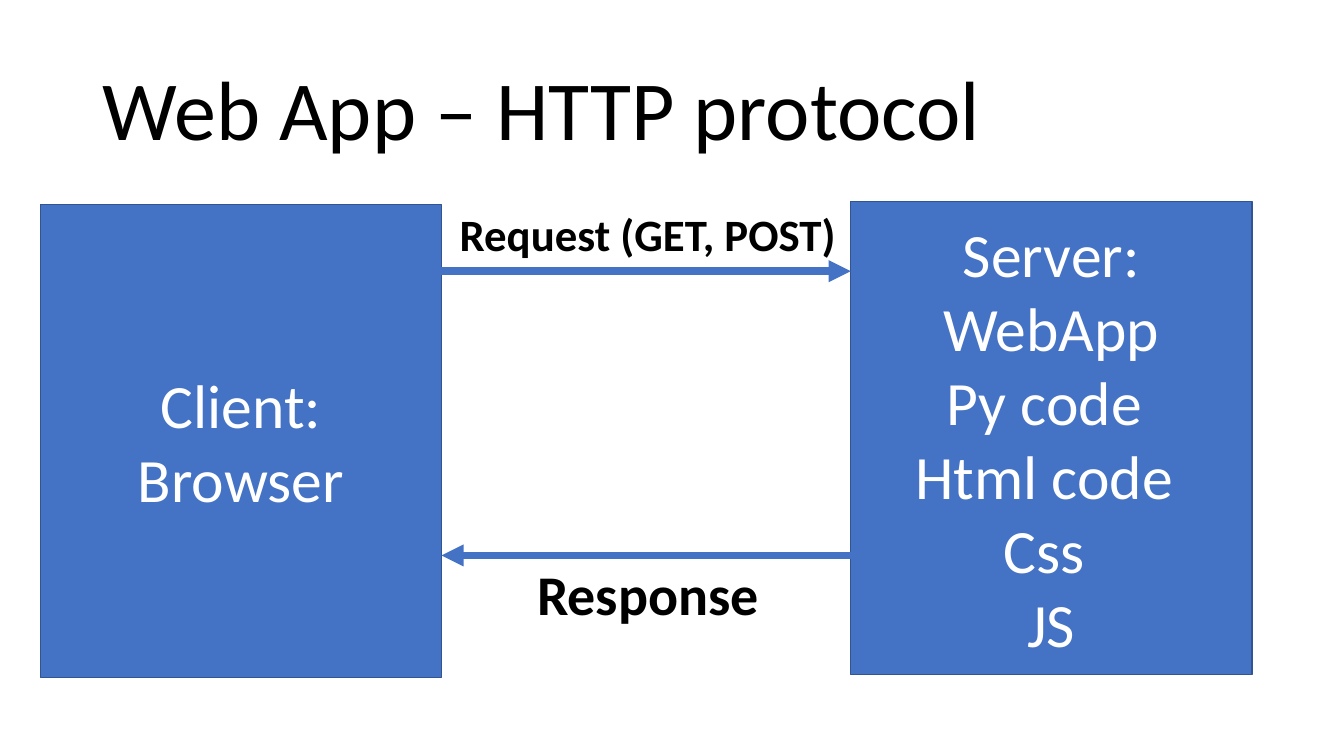
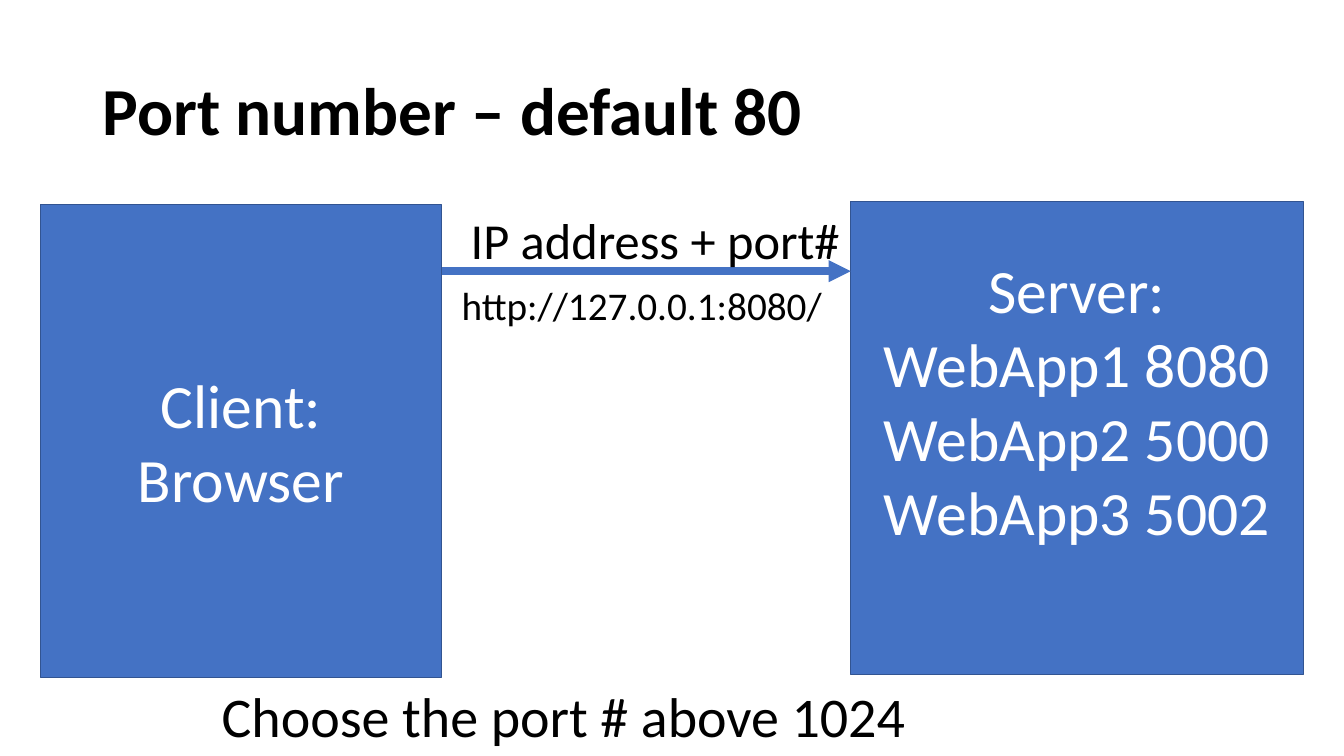
from pptx import Presentation
from pptx.dml.color import RGBColor
from pptx.enum.shapes import MSO_CONNECTOR, MSO_SHAPE
from pptx.enum.text import MSO_ANCHOR, PP_ALIGN
from pptx.oxml.ns import qn
from pptx.util import Inches, Pt
from lxml.etree import SubElement

# Shared look
FONT, BLUE, EDGE, WHITE, BLACK = "Calibri", "4472C4", "325491", "FFFFFF", "000000"
WIDE, HIGH = 13.33, 7.5

# Grid of 100 columns by 100 rows
LEFT, TOP = 3, 26.67
BOX_W, BOX_H = 29.85, 62.53
GAP_L, GAP_R = LEFT + BOX_W, 63.3
SEND_Y, REPLY_Y = 35.87, 73.47


def col(n):
    return Inches(WIDE * n / 100)


def row(n):
    return Inches(HIGH * n / 100)


def area(x, y, w, h):
    return col(x), row(y), col(w), row(h)


def color(code):
    return RGBColor.from_string(code)


def write(frame, lines, size, tint=BLACK, bold=False, align=PP_ALIGN.LEFT,
          anchor=MSO_ANCHOR.TOP, lead=None):
    frame.word_wrap = True
    frame.vertical_anchor = anchor
    frame.text = "\n".join(lines)
    style = {"name": FONT, "size": Pt(size), "bold": bold}
    for para in frame.paragraphs:
        para.alignment = align
        para.line_spacing = lead
        for run in para.runs:
            for key, value in style.items():
                setattr(run.font, key, value)
            run.font.color.rgb = color(tint)


def start(deck, text, size, bold=False):
    """Add a slide with its title."""
    slide = deck.slides.add_slide(deck.slide_layouts[5])
    title = slide.shapes.title
    spot = dict(zip(("left", "top", "width", "height"),
                    area(6.9, 5.33, 86.25, 19.33)))
    for key, value in spot.items():
        setattr(title, key, value)
    write(title.text_frame, [text], size, bold=bold,
          anchor=MSO_ANCHOR.MIDDLE, lead=0.9)
    return slide


def node(slide, x, y, w, lines, foot=0.05):
    """Add a blue box; foot is its bottom inset in inches."""
    box = slide.shapes.add_shape(MSO_SHAPE.RECTANGLE, *area(x, y, w, BOX_H))
    box.shadow.inherit = False
    box.fill.solid()
    box.fill.fore_color.rgb = color(BLUE)
    box.line.color.rgb = color(EDGE)
    box.line.width = Pt(1)
    box.text_frame.margin_bottom = Inches(foot)
    write(box.text_frame, lines, 44, WHITE, align=PP_ALIGN.CENTER,
          anchor=MSO_ANCHOR.MIDDLE)


def client(slide):
    node(slide, LEFT, TOP + 0.4, BOX_W, ["Client:", "Browser"])


def server(slide, w, lines, foot=0.05):
    node(slide, GAP_R, TOP, w, ["Server:"] + lines, foot)


def arrow(slide, x1, x2, y):
    link = slide.shapes.add_connector(
        MSO_CONNECTOR.STRAIGHT, col(x1), row(y), col(x2), row(y))
    link.line.color.rgb = color(BLUE)
    link.line.width = Pt(5.25)
    SubElement(link.line._get_or_add_ln(), qn("a:tailEnd"), type="triangle")
    SubElement(link._element.spPr, qn("a:effectLst"))


def label(slide, x, y, w, h, text, size, bold=False):
    box = slide.shapes.add_textbox(*area(x, y, w, h))
    write(box.text_frame, [text], size, bold=bold)


def main():
    deck = Presentation()
    deck.slide_width, deck.slide_height = Inches(WIDE), Inches(HIGH)

    # Request and response
    slide = start(deck, "Web App – HTTP protocol", 60)
    client(slide)
    server(slide, BOX_W, ["WebApp", "Py code ", "Html code ", "Css ", "JS"])
    arrow(slide, GAP_L, GAP_R, SEND_Y)
    label(slide, 33.46, TOP, BOX_W, 8.53, "Request (GET, POST)", 32, True)
    arrow(slide, GAP_R, GAP_L, REPLY_Y)
    label(slide, 39.23, 73.33, 18.23, 10.27, "Response", 40, True)

    # Address and ports
    slide = start(deck, "Port number – default 80", 48, True)
    server(slide, 33.68, ["WebApp1 8080", "WebApp2 5000", "WebApp3 5002"], 0.8)
    arrow(slide, GAP_L, GAP_R, SEND_Y)
    client(slide)
    label(slide, 34.28, 27.07, 30.08, 9.47, "IP address + port#", 36)
    label(slide, 33.61, 36.53, 28.81, 7.6, "http://127.0.0.1:8080/", 28)
    label(slide, 15.75, 89.47, 52.89, 10.27, "Choose the port # above 1024", 40)

    deck.save("out.pptx")


if __name__ == "__main__":
    main()
